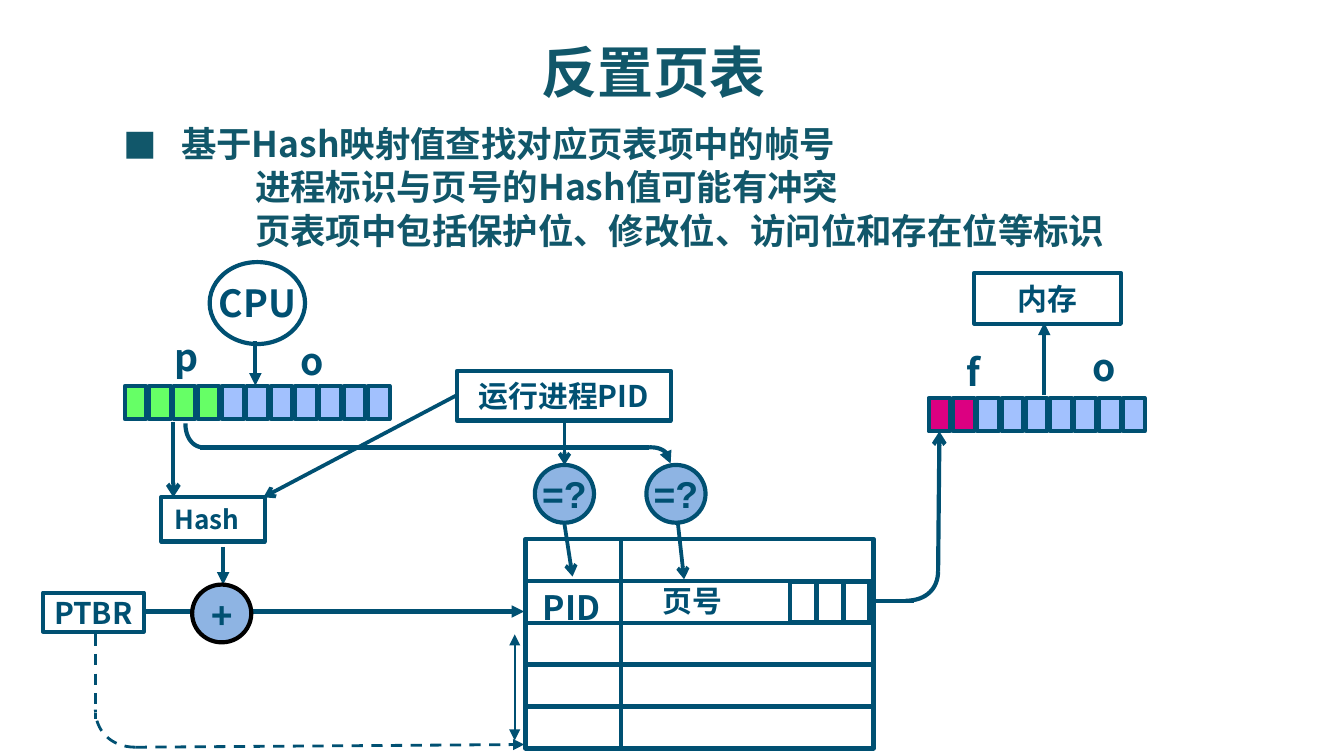
"""Build the slide on inverted page tables with hashed lookup."""
from lxml import etree
from pptx import Presentation
from pptx.dml.color import RGBColor
from pptx.enum.dml import MSO_LINE
from pptx.enum.shapes import MSO_CONNECTOR, MSO_SHAPE
from pptx.enum.text import MSO_ANCHOR, PP_ALIGN
from pptx.oxml.ns import qn
from pptx.util import Inches, Pt

PX = 9144
RECTANGLE, OVAL = MSO_SHAPE.RECTANGLE, MSO_SHAPE.OVAL
STRAIGHT, DASH = MSO_CONNECTOR.STRAIGHT, MSO_LINE.DASH
LEFT, CENTER = PP_ALIGN.LEFT, PP_ALIGN.CENTER
TOP, MIDDLE = MSO_ANCHOR.TOP, MSO_ANCHOR.MIDDLE
TEAL = RGBColor(0x11, 0x57, 0x6A)
NAVY = RGBColor(0x00, 0x50, 0x72)
BLACK = RGBColor(0x00, 0x00, 0x00)
GREEN = RGBColor(0x66, 0xFF, 0x66)
BLUE = RGBColor(0xA2, 0xC1, 0xFE)
PINK = RGBColor(0xDC, 0x00, 0x81)
SKY = RGBColor(0x8E, 0xB4, 0xE3)
SANS, ARIAL = "Noto Sans CJK SC", "Arial"

TEXTS = [
    ("反置页表", (236, 27, 500, 58), 30, TEAL, SANS, CENTER, 0.95),
    ("■", (82, 88, 45, 40), 18, TEAL, "Noto Sans CJK JP", LEFT, 1),
    ("基于Hash映射值查找对应页表项中的帧号", (125, 86, 750, 42), 19, TEAL, SANS, LEFT, 1),
    ("进程标识与页号的Hash值可能有冲突", (180, 118, 500, 42), 19, TEAL, SANS, LEFT, 1),
    ("页表项中包括保护位、修改位、访问位和存在位等标识", (180, 151, 688, 42), 19, TEAL, SANS, LEFT, 1),
    ("p", (120, 244, 51, 43), 20, NAVY, SANS, LEFT, 1),
    ("o", (214, 247, 51, 43), 20, NAVY, SANS, LEFT, 1),
    ("f", (709, 255, 51, 43), 20, NAVY, SANS, LEFT, 1),
    ("o", (803, 251, 51, 43), 20, NAVY, SANS, LEFT, 1),
    ("PID", (394, 432, 95, 40), 18, NAVY, SANS, LEFT, 1),
    ("页号", (483, 429, 115, 37), 16, NAVY, SANS, LEFT, 1),
]
NODES = [
    ("CPU", OVAL, (156, 195, 71, 61), 20, None, NAVY, SANS, CENTER),
    ("内存", RECTANGLE, (725, 203, 109, 38), 16, None, NAVY, SANS, CENTER),
    ("运行进程PID", RECTANGLE, (340, 276, 159, 37), 16, None, NAVY, SANS, CENTER),
    ("Hash", RECTANGLE, (120, 370, 77, 33), 14, None, NAVY, SANS, LEFT),
    ("PTBR", RECTANGLE, (32, 441, 75, 29), 16, None, NAVY, SANS, CENTER),
    ("+", OVAL, (143, 435, 44, 43), 20, SKY, BLACK, ARIAL, CENTER),
    ("=?", OVAL, (398, 346, 44, 43), 20, SKY, NAVY, ARIAL, CENTER),
    ("=?", OVAL, (481, 346, 44, 43), 20, SKY, NAVY, ARIAL, CENTER),
]
ADDRESSES = [(93, 287, [GREEN] * 4 + [BLUE] * 7), (691, 296, [PINK] * 2 + [BLUE] * 7)]
CELL_WIDTH, CELL_HEIGHT, CELL_STEP = 16, 25, 18.1
TABLE_COLUMNS = [(391, 71), (462, 188)]
TABLE_TOP, ROW_HEIGHT, ROW_COUNT = 401, 31.2, 5
FLAG_LEFT, FLAG_STEP, FLAG_COUNT = 588, 20, 3

LINES = [
    ((190, 254), (190, 287), 2.25, None, "triangle", None),
    ((777, 294), (777, 240), 2.25, None, "triangle", None),
    ((340, 294), (196, 370), 2, None, "arrow", None),
    ((420, 313), (420, 346), 2, None, "arrow", None),
    ((418, 377), (426, 429), 2, None, "arrow", None),
    ((503, 377), (509, 431), 2, None, "arrow", None),
    ((129, 314), (129, 370), 2.25, None, "arrow", None),
    ((166, 407), (166, 435), 2.25, None, "triangle", None),
    ((109, 455), (390, 455), 2.25, None, "triangle", None),
    ((383, 551), (383, 472), 1, "triangle", "triangle", None),
    ((71, 472), (71, 535), 1.5, None, None, DASH),
    ((101, 556), (390, 554), 1.5, None, "triangle", DASH),
    ((650, 447), (680, 447), 2.25, None, None, None),
    ((698, 425), (699, 321), 2.25, None, "arrow", None),
    ((149, 333), (483, 333), 2.25, None, None, None),
]
BENDS = [
    ([(101, 556), (82, 556), (71, 543), (71, 528)], 1.5, None, DASH),
    ([(674, 447), (689, 447), (698, 438), (698, 425)], 2.25, None, None),
    ([(152, 333), (143, 333), (138, 325), (138, 315)], 2.25, None, None),
    ([(482, 333), (493, 332), (499, 338), (499, 345)], 2.25, "triangle", None),
]
BEND_STEPS = 16


def scaled(values):
    return [round(value * PX) for value in values]


def write(shape, text, size, color, font_name, alignment, anchor, wrap, spacing=1):
    frame = shape.text_frame
    frame_format = {"word_wrap": wrap, "vertical_anchor": anchor, "margin_left": 10 * PX,
                    "margin_right": 10 * PX, "margin_top": 5 * PX, "margin_bottom": 5 * PX}
    for name, value in frame_format.items():
        setattr(frame, name, value)
    paragraph = frame.paragraphs[0]
    paragraph.alignment, paragraph.line_spacing = alignment, spacing
    run = paragraph.add_run()
    run.text = text
    run.font.color.rgb = color
    for name, value in {"size": Pt(size), "bold": True, "name": font_name}.items():
        setattr(run.font, name, value)
    etree.SubElement(run.font._element, qn("a:ea"), typeface=font_name)


def style_line(shape, color, width, head=None, tail=None, dash=None):
    line = shape.line
    line.color.rgb = color
    line.width = Pt(width)
    if dash:
        line.dash_style = dash
    for tag, kind in (("a:headEnd", head), ("a:tailEnd", tail)):
        if kind:
            etree.SubElement(line._get_or_add_ln(), qn(tag), type=kind)


def add_outline(slide, kind, box, fill, color, width):
    shape = slide.shapes.add_shape(kind, *scaled(box))
    shape.shadow.inherit = False
    if fill is None:
        shape.fill.background()
    else:
        shape.fill.solid()
        shape.fill.fore_color.rgb = fill
    style_line(shape, color, width)
    return shape


def add_line(slide, start, end, width, head, tail, dash):
    connector = slide.shapes.add_connector(STRAIGHT, *scaled(start + end))
    style_line(connector, NAVY, width, head, tail, dash)
    etree.SubElement(connector._element.spPr, qn("a:effectLst"))


def add_bend(slide, controls, width, tail, dash):
    points = []
    for step in range(BEND_STEPS + 1):
        t = step / BEND_STEPS
        weights = ((1 - t) ** 3, 3 * t * (1 - t) ** 2, 3 * t * t * (1 - t), t ** 3)
        points.append(scaled(sum(weight * value for weight, value in zip(weights, axis))
                             for axis in zip(*controls)))
    builder = slide.shapes.build_freeform(*points[0])
    builder.add_line_segments(points[1:], close=False)
    shape = builder.convert_to_shape()
    shape.shadow.inherit = False
    shape.fill.background()
    style_line(shape, NAVY, width, tail=tail, dash=dash)


def main():
    presentation = Presentation()
    presentation.slide_width = Inches(10)
    presentation.slide_height = presentation.slide_width * 9 // 16
    slide = presentation.slides.add_slide(presentation.slide_layouts[6])
    for line in LINES:
        add_line(slide, *line)
    for bend in BENDS:
        add_bend(slide, *bend)
    for left, top, colors in ADDRESSES:
        for index, color in enumerate(colors):
            box = (left + index * CELL_STEP, top, CELL_WIDTH, CELL_HEIGHT)
            add_outline(slide, RECTANGLE, box, color, NAVY, 2)
    for row in range(ROW_COUNT):
        for left, width in TABLE_COLUMNS:
            box = (left, TABLE_TOP + row * ROW_HEIGHT, width, ROW_HEIGHT)
            add_outline(slide, RECTANGLE, box, None, NAVY, 2.25)
    for index in range(FLAG_COUNT):
        box = (FLAG_LEFT + index * FLAG_STEP, TABLE_TOP + ROW_HEIGHT + 1, 19, 30)
        add_outline(slide, RECTANGLE, box, None, NAVY, 2.25)
    for text, kind, box, size, fill, color, font_name, alignment in NODES:
        shape = add_outline(slide, kind, box, fill, color, 2.25)
        write(shape, text, size, NAVY, font_name, alignment, MIDDLE, False)
    for text, box, size, color, font_name, alignment, spacing in TEXTS:
        shape = slide.shapes.add_textbox(*scaled(box))
        write(shape, text, size, color, font_name, alignment, TOP, True, spacing)
    presentation.save("out.pptx")


if __name__ == "__main__":
    main()
